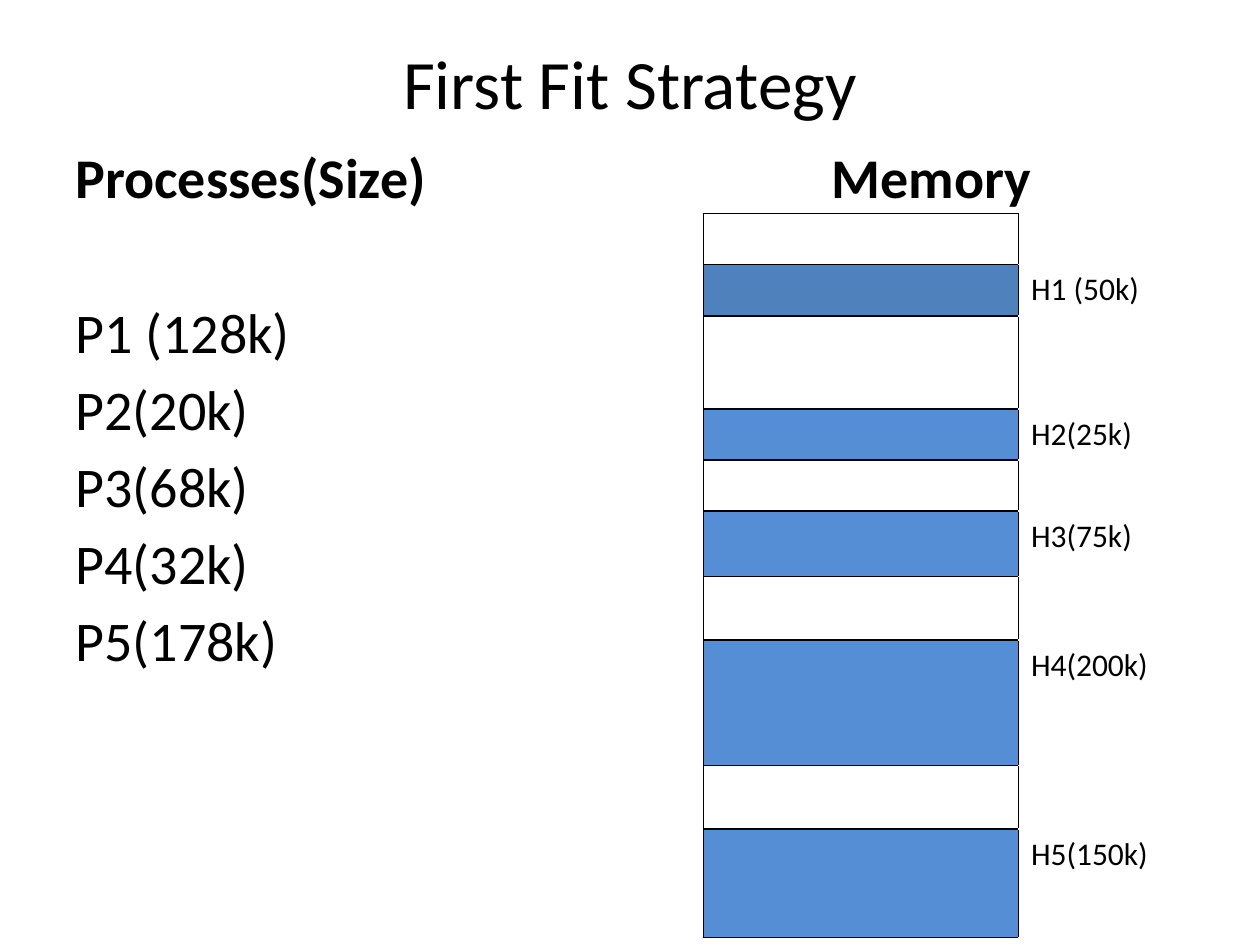
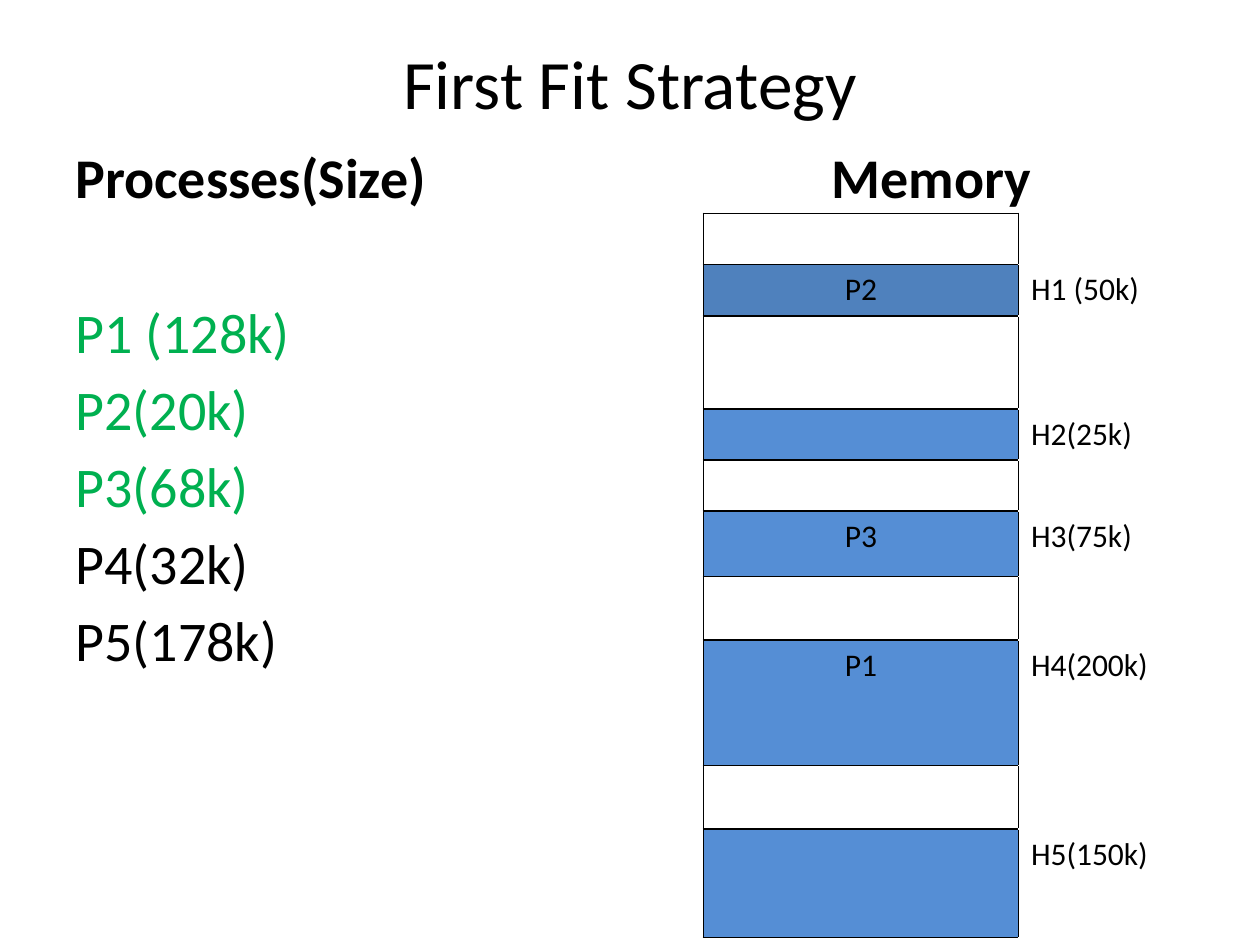
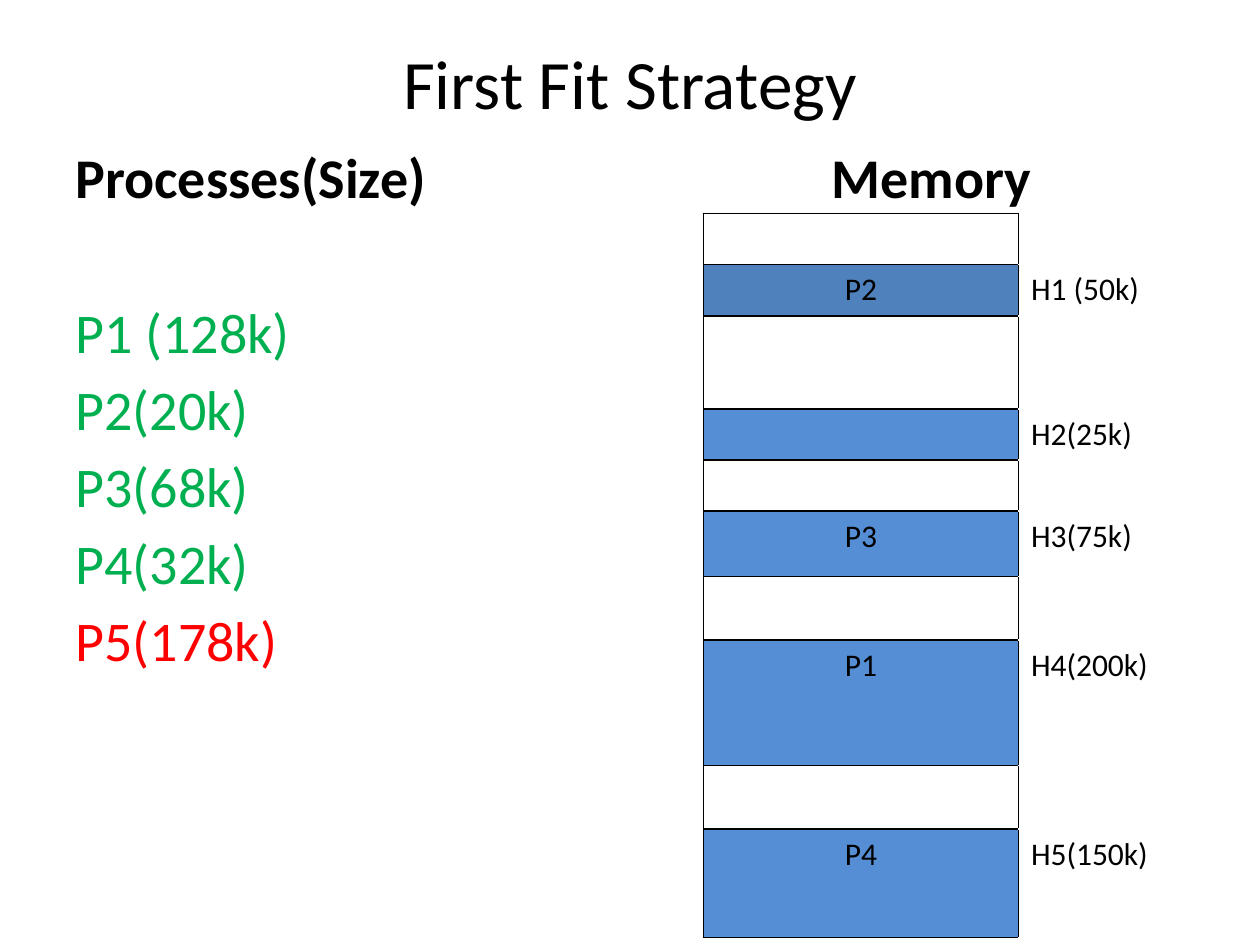
from lxml import etree
from pptx import Presentation
from pptx.dml.color import RGBColor
from pptx.enum.text import MSO_ANCHOR, PP_ALIGN
from pptx.oxml.ns import qn
from pptx.util import Cm, Pt

CENTER, LEFT = PP_ALIGN.CENTER, PP_ALIGN.LEFT
MIDDLE, TOP = MSO_ANCHOR.MIDDLE, MSO_ANCHOR.TOP

BLACK = RGBColor(0x00, 0x00, 0x00)
PLACED = RGBColor(0x00, 0xB0, 0x50)
REJECTED = RGBColor(0xFF, 0x00, 0x00)
FIRST_HOLE = RGBColor(0x4F, 0x81, 0xBD)
HOLE = RGBColor(0x55, 0x8E, 0xD5)
FONT = "Calibri"

# Boxes: left, top, width, height in cm
TITLE_BOX = (1.27, 0.76, 22.86, 1.78)
PROCESS_BOX = (1.27, 2.74, 22.86, 16.31)
MEMORY_BOX = (14.18, 4.3, 9.32, 14.6)

MEMORY_TAB = 15.24
LINE_GAP = 5.6
HEADING_GAP = 44.7
HOLE_WIDTH = 6.35

PROCESSES = ["P1 (128k)", "P2(20k)", "P3(68k)", "P4(32k)", "P5(178k)"]
# Each hole: label, height of the used block above it, height of the hole
HOLES = [
    ("H1 (50k)", 1.03, 1.04),
    ("H2(25k)", 1.87, 1.03),
    ("H3(75k)", 1.03, 1.32),
    ("H4(200k)", 1.28, 2.53),
    ("H5(150k)", 1.28, 2.19),
]

# Each step: colours of the processes, process held by each hole
STEPS = [
    ([BLACK] * 5, {}),
    ([PLACED] * 3 + [BLACK] * 2, {"H1": "P2", "H3": "P3", "H4": "P1"}),
    ([PLACED] * 4 + [REJECTED], {"H1": "P2", "H3": "P3", "H4": "P1", "H5": "P4"}),
]


def write(paragraph, text, size, color=BLACK, bold=False, align=LEFT):
    paragraph.text = text
    paragraph.alignment = align
    font = paragraph.font
    font.name, font.size, font.bold = FONT, Pt(size), bold
    font.color.rgb = color


def add_text_frame(slide, box, anchor):
    frame = slide.shapes.add_textbox(*map(Cm, box)).text_frame
    frame.word_wrap = True
    frame.vertical_anchor = anchor
    return frame


def add_tab_stop(paragraph, position):
    stops = etree.SubElement(paragraph._p.get_or_add_pPr(), qn("a:tabLst"))
    etree.SubElement(stops, qn("a:tab"), pos=str(Cm(position)), algn="l")


def set_borders(cell, sides):
    properties = cell._tc.get_or_add_tcPr()
    for index, side in enumerate(sides):
        line = etree.Element(qn(f"a:ln{side}"), w=str(Pt(1)))
        fill = etree.SubElement(line, qn("a:solidFill"))
        etree.SubElement(fill, qn("a:srgbClr"), val=str(BLACK))
        properties.insert(index, line)


def add_title(slide, box):
    frame = add_text_frame(slide, box, MIDDLE)
    write(frame.paragraphs[0], "First Fit Strategy", 39.6, align=CENTER)


def add_processes(slide, box, colors):
    frame = add_text_frame(slide, box, TOP)
    heading = frame.paragraphs[0]
    add_tab_stop(heading, MEMORY_TAB)
    write(heading, "Processes(Size)\tMemory", 32, bold=True)
    heading.space_before = Pt(LINE_GAP)
    heading.space_after = Pt(HEADING_GAP)
    for process, color in zip(PROCESSES, colors):
        line = frame.add_paragraph()
        write(line, process, 32, color)
        line.space_before = Pt(LINE_GAP)


def add_memory(slide, box, held):
    left, top, width, height = map(Cm, box)
    memory = slide.shapes.add_table(2 * len(HOLES), 2, left, top, width, height).table
    memory.first_row = memory.horz_banding = False
    memory.columns[0].width = Cm(HOLE_WIDTH)
    memory.columns[1].width = width - Cm(HOLE_WIDTH)

    # Plain grid: framed blocks on the left, open labels on the right
    for cell in memory.iter_cells():
        cell.fill.background()
        write(cell.text_frame.paragraphs[0], "", 18)
    for row in memory.rows:
        set_borders(row.cells[0], "LRTB")
        set_borders(row.cells[1], "L")

    # Used block, then hole with its label
    for index, (label, used_height, hole_height) in enumerate(HOLES):
        used_row, hole_row = memory.rows[2 * index], memory.rows[2 * index + 1]
        used_row.height, hole_row.height = Cm(used_height), Cm(hole_height)
        hole, caption = hole_row.cells
        hole.fill.solid()
        hole.fill.fore_color.rgb = HOLE if index else FIRST_HOLE
        write(hole.text_frame.paragraphs[0], held.get(label[:2], ""), 18, align=CENTER)
        write(caption.text_frame.paragraphs[0], label, 18)


def add_step(deck, colors, held):
    slide = deck.slides.add_slide(deck.slide_layouts[6])
    add_title(slide, TITLE_BOX)
    add_processes(slide, PROCESS_BOX, colors)
    add_memory(slide, MEMORY_BOX, held)


def main():
    deck = Presentation()
    deck.slide_width, deck.slide_height = Cm(25.4), Cm(19.05)
    for colors, held in STEPS:
        add_step(deck, colors, held)
    deck.save("out.pptx")


if __name__ == "__main__":
    main()
